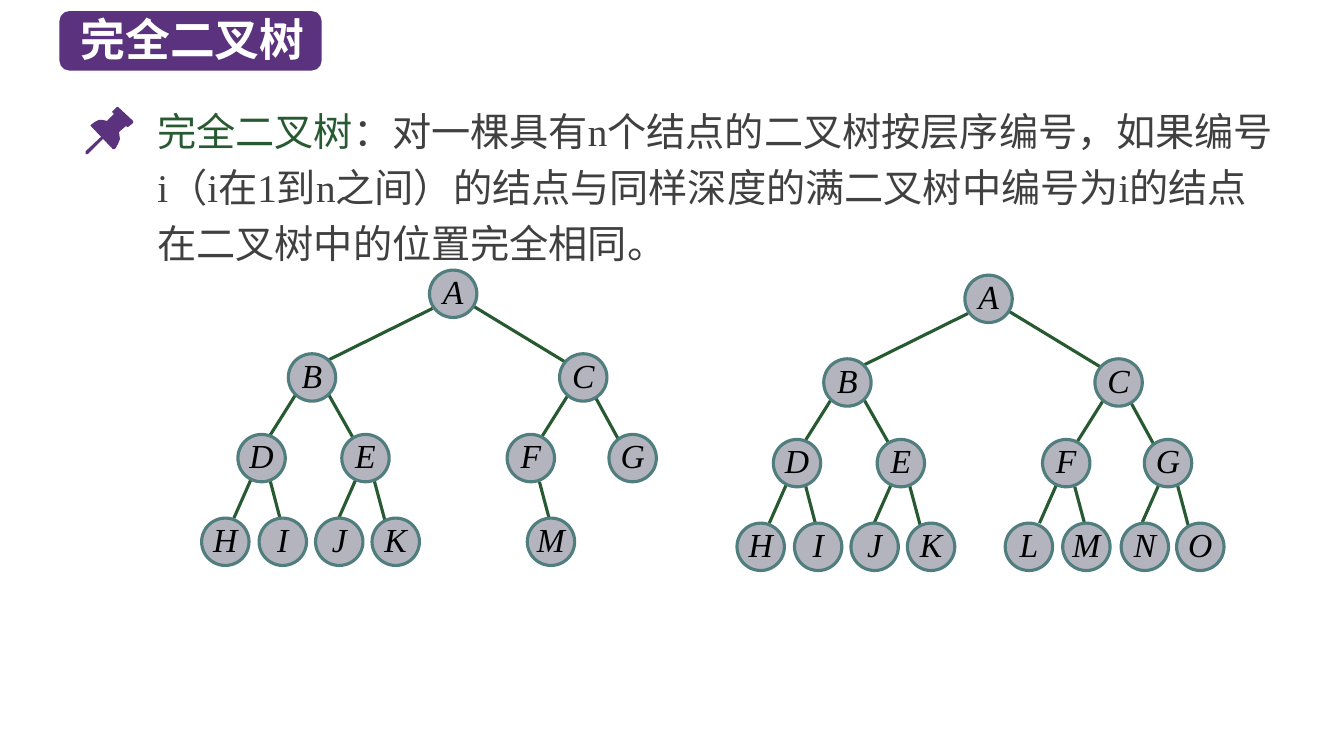
import dataclasses
import pptx
import pptx.util
import pptx.dml.color
import pptx.enum.shapes
import pptx.enum.text
import pptx.oxml.ns
import lxml.etree

Inches = pptx.util.Inches
Pt = pptx.util.Pt
qn = pptx.oxml.ns.qn
Shape = pptx.enum.shapes.MSO_SHAPE
PURPLE, GREEN, GREY, TEAL = "5A327D", "285A32", "B4B4BE", "507D7D"
SERIF, SANS = "Times New Roman", "Noto Sans CJK SC"
SIZE = 0.47


@dataclasses.dataclass
class Node:
    """A node and the line from its parent, relative to the root's corner."""
    name: str
    x: float
    level: int
    start: tuple[float, float] | None = None
    end: tuple[float, float] | None = None


@dataclasses.dataclass
class Tree:
    x: float
    y: float
    names: str


DEPTHS = (0, 0.83, 1.63, 2.46)
NODES = [
    Node("A", 0, 0),
    Node("B", -1.4, 1, (0.03, 0.38), (-1.06, 0.92)),
    Node("C", 1.29, 1, (0.39, 0.33), (1.41, 0.95)),
    Node("D", -1.9, 2, (-1.28, 1.16), (-1.62, 1.7)),
    Node("E", -0.87, 2, (-1.02, 1.2), (-0.72, 1.73)),
    Node("F", 0.77, 2, (1.38, 1.23), (1.04, 1.77)),
    Node("G", 1.78, 2, (1.65, 1.27), (1.94, 1.8)),
    Node("H", -2.26, 3, (-1.75, 2.03), (-1.94, 2.46)),
    Node("I", -1.69, 3, (-1.58, 2.09), (-1.46, 2.55)),
    Node("J", -1.13, 3, (-0.71, 2.03), (-0.9, 2.46)),
    Node("K", -0.57, 3, (-0.55, 2.08), (-0.43, 2.53)),
    Node("L", 0.4, 3, (0.93, 2.03), (0.74, 2.46)),
    Node("M", 0.97, 3, (1.09, 2.1), (1.21, 2.55)),
    Node("N", 1.55, 3, (1.95, 2.02), (1.76, 2.45)),
    Node("O", 2.1, 3, (2.11, 2.09), (2.23, 2.54)),
]
TREES = [Tree(9.57, 2.73, "ABCDEFGHIJKLMNO"), Tree(4.26, 2.68, "ABCDEFGHIJKMG")]

# Pin outlines, in hundredths of an inch
PINS = [
    [(132, 120), (117, 106), (116, 106), (111, 111), (113, 113), (106, 120),
     (102, 119), (98, 119), (94, 121), (90, 124), (90, 125), (112, 148),
     (114, 148), (117, 143), (119, 138), (118, 131), (125, 125), (126, 126),
     (127, 126), (132, 122)],
    [(86, 153), (85, 153), (85, 150), (101, 135), (103, 135), (103, 137),
     (87, 153)],
]


def color(code: str) -> pptx.dml.color.RGBColor:
    return pptx.dml.color.RGBColor.from_string(code)


def paint(shape, fill: str, line: str | None = None) -> None:
    shape.shadow.inherit = False
    shape.fill.solid()
    shape.fill.fore_color.rgb = color(fill)
    if line:
        shape.line.color.rgb = color(line)
        shape.line.width = Pt(2.25)
    else:
        shape.line.fill.background()


def style(para, face: str, size: int) -> None:
    para.font.name = face
    para.font.size = Pt(size)
    props = para._p.pPr.find(qn("a:defRPr"))
    lxml.etree.SubElement(props, qn("a:ea")).set("typeface", SANS)


def box(slide, x: float, y: float, w: float, h: float, inset: float):
    frame = slide.shapes.add_textbox(
        Inches(x), Inches(y), Inches(w), Inches(h)).text_frame
    frame.word_wrap = True
    frame.margin_left = frame.margin_right = Inches(inset)
    return frame.paragraphs[0]


def edge(slide, tree: Tree, node: Node) -> None:
    (ax, ay), (bx, by) = node.start, node.end
    line = slide.shapes.add_connector(
        pptx.enum.shapes.MSO_CONNECTOR.STRAIGHT,
        Inches(tree.x + ax), Inches(tree.y + ay),
        Inches(tree.x + bx), Inches(tree.y + by))
    line.line.color.rgb = color(GREEN)
    line.line.width = Pt(2.25)
    lxml.etree.SubElement(line._element.spPr, qn("a:effectLst"))


def disc(slide, tree: Tree, node: Node) -> None:
    shape = slide.shapes.add_shape(
        Shape.OVAL, Inches(tree.x + node.x),
        Inches(tree.y + DEPTHS[node.level]), Inches(SIZE), Inches(SIZE))
    paint(shape, GREY, TEAL)
    frame = shape.text_frame
    frame.margin_left = frame.margin_right = 0
    frame.margin_top = frame.margin_bottom = 0
    para = frame.paragraphs[0]
    para.text = node.name
    para.alignment = pptx.enum.text.PP_ALIGN.CENTER
    para.line_spacing = Pt(25)
    style(para, SERIF, 24)
    para.font.italic = True
    para.font.color.rgb = color("000000")


def draw(slide, tree: Tree) -> None:
    nodes = [node for node in NODES if node.name in tree.names]
    for node in nodes:
        if node.start:
            edge(slide, tree, node)
    for node in nodes:
        disc(slide, tree, node)


def main() -> None:
    deck = pptx.Presentation()
    deck.slide_width, deck.slide_height = Inches(13.33), Inches(7.5)
    slide = deck.slides.add_slide(deck.slide_layouts[6])

    # Title
    plate = slide.shapes.add_shape(
        Shape.ROUNDED_RECTANGLE,
        Inches(0.59), Inches(0.11), Inches(2.6), Inches(0.59))
    paint(plate, PURPLE)
    title = box(slide, 0.7, 0.07, 2.5, 0.64, 0.1)
    title.text = "完全二叉树"
    style(title, SANS, 32)
    title.font.bold = True
    title.font.color.rgb = color("FFFFFF")

    # Definition with its pin
    body = box(slide, 1.56, 0.93, 11.11, 1.74, 0)
    body.line_spacing = Pt(40)
    for text, shade in (
        ("完全二叉树", GREEN),
        ("：对一棵具有n个结点的二叉树按层序编号，如果编号i（i在1到n之间）"
         "的结点与同样深度的满二叉树中编号为i的结点在二叉树中的位置完全相同。",
         "404040"),
    ):
        run = body.add_run()
        run.text = text
        run.font.color.rgb = color(shade)
    style(body, SERIF, 28)
    for pin in PINS:
        path = slide.shapes.build_freeform(*pin[0], scale=Inches(0.01))
        path.add_line_segments(pin[1:])
        paint(path.convert_to_shape(), PURPLE)

    # Trees
    for tree in TREES:
        draw(slide, tree)

    deck.save("out.pptx")


if __name__ == "__main__":
    main()
